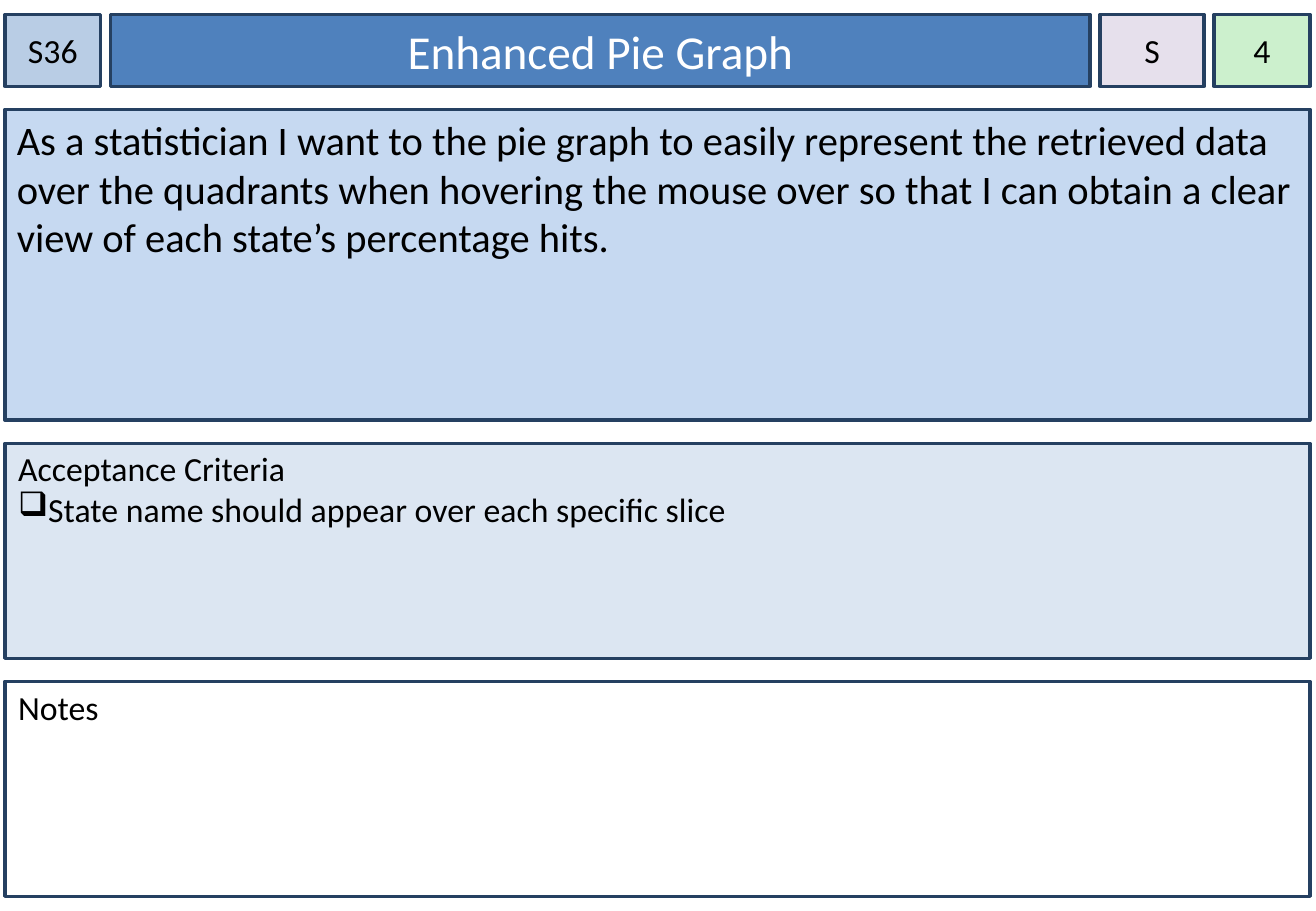
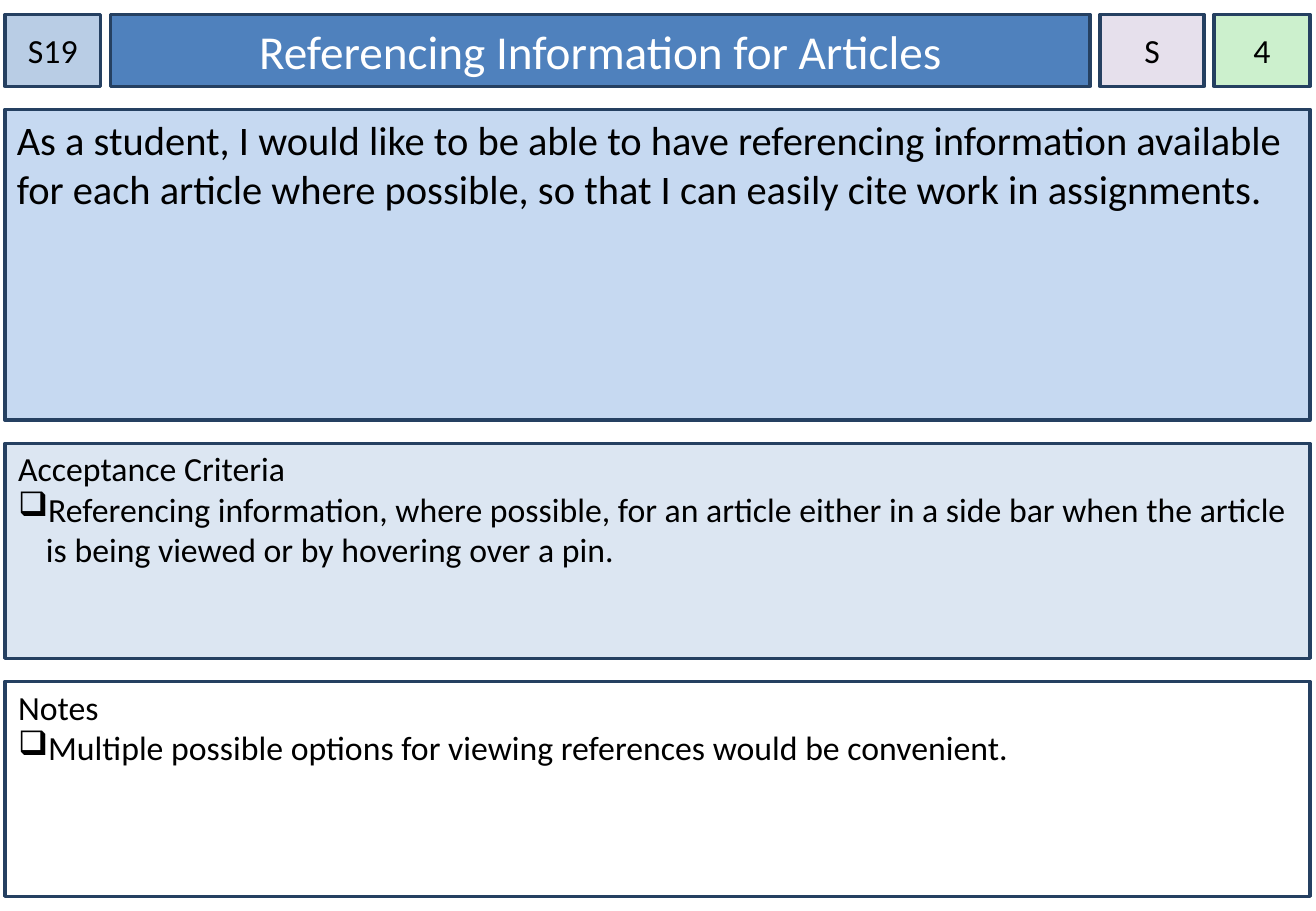
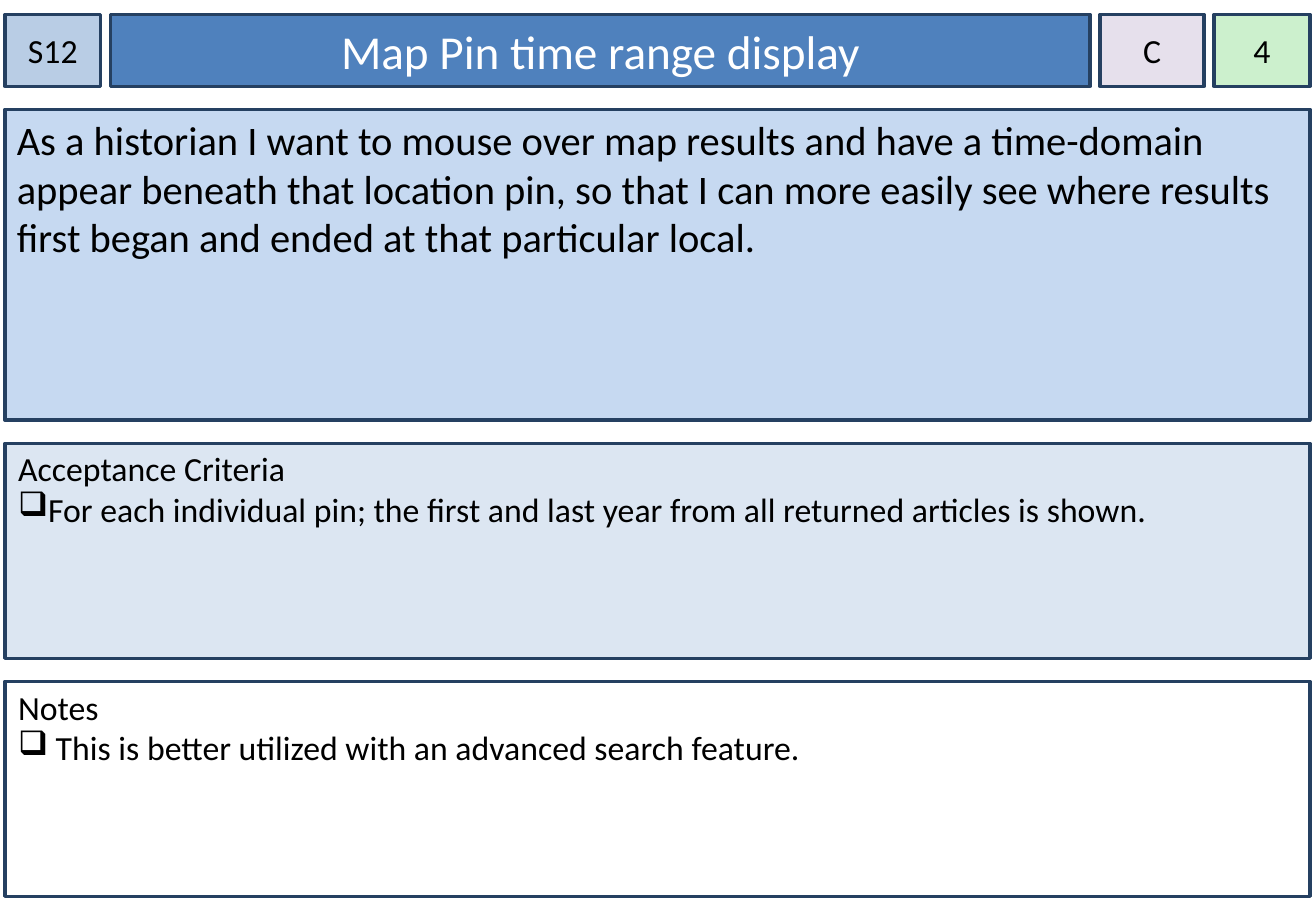
from dataclasses import dataclass

from lxml.etree import SubElement
from pptx import Presentation
from pptx.dml.color import RGBColor
from pptx.enum.shapes import MSO_SHAPE
from pptx.enum.text import MSO_ANCHOR as ANCHOR, PP_ALIGN as ALIGN
from pptx.oxml.ns import qn
from pptx.util import Inches, Pt


@dataclass(frozen=True)
class Theme:
    font: str = "Calibri"
    title_size: int = 28
    story_size: int = 24
    body_size: int = 20
    text: str = "000000"
    title_text: str = "FFFFFF"
    border: str = "254061"
    border_width: int = 2
    id_fill: str = "B9CDE5"
    title_fill: str = "4F81BD"
    priority_fill: str = "E6E0EC"
    points_fill: str = "CCF0CD"
    story_fill: str = "C6D9F1"
    criteria_fill: str = "DCE6F2"
    remarks_fill: str = "FFFFFF"
    bullet: str = "❑"
    indent: float = 0.24
    hanging: float = 0.23


@dataclass(frozen=True)
class Box:
    left: float
    top: float
    width: float
    height: float


@dataclass(frozen=True)
class Story:
    id: str
    title: str
    priority: str
    points: str
    text: str
    criteria: tuple = ()
    remarks: tuple = ()


THEME = Theme()
SLIDE_WIDTH, SLIDE_HEIGHT = 10.84, 7.5
CARD = Box(0.04, 0.12, 10.75, 7.26)
ROW_HEIGHTS = (0.59, 2.56, 1.77, 1.77)
ROW_GAP = 0.19
HEADER_WIDTHS = (0.79, 8.07, 0.86, 0.79)
HEADER_GAP = 0.08

STORIES = (
    Story(
        "S36", "Enhanced Pie Graph", "S", "4",
        "As a statistician I want to the pie graph to easily represent the "
        "retrieved data over the quadrants when hovering the mouse over so "
        "that I can obtain a clear view of each state’s percentage hits.",
        criteria=("State name should appear over each specific slice",),
    ),
    Story(
        "S19", "Referencing Information for Articles", "S", "4",
        "As a student, I would like to be able to have referencing "
        "information available for each article where possible, so that I "
        "can easily cite work in assignments.",
        criteria=("Referencing information, where possible, for an article "
                  "either in a side bar when the article is being viewed or "
                  "by hovering over a pin.",),
        remarks=("Multiple possible options for viewing references would be "
                 "convenient.",),
    ),
    Story(
        "S12", "Map Pin time range display", "C", "4",
        "As a historian I want to mouse over map results and have a "
        "time-domain appear beneath that location pin, so that I can more "
        "easily see where results first began and ended at that particular "
        "local.",
        criteria=("For each individual pin; the first and last year from all "
                  "returned articles is shown.",),
        remarks=(" This is better utilized with an advanced search feature.",),
    ),
)


def split_rows(box):
    top = box.top
    for height in ROW_HEIGHTS:
        yield Box(box.left, top, box.width, height)
        top += height + ROW_GAP


def split_header(box):
    left = box.left
    for width in HEADER_WIDTHS:
        yield Box(left, box.top, width, box.height)
        left += width + HEADER_GAP


def add_panel(s, box, fill, side=0.1, top=0.05, anchor=ANCHOR.TOP):
    """Draw a bordered rectangle and return its text frame."""
    sp = s.shapes.add_shape(
        MSO_SHAPE.RECTANGLE,
        *map(Inches, (box.left, box.top, box.width, box.height)))
    sp.shadow.inherit = False
    sp.fill.solid()
    sp.fill.fore_color.rgb = RGBColor.from_string(fill)
    sp.line.color.rgb = RGBColor.from_string(THEME.border)
    sp.line.width = Pt(THEME.border_width)
    tf = sp.text_frame
    frame_format = {
        "word_wrap": True,
        "vertical_anchor": anchor,
        "margin_left": Inches(side),
        "margin_right": Inches(side),
        "margin_top": Inches(top),
        "margin_bottom": Inches(0.05),
    }
    for name, value in frame_format.items():
        setattr(tf, name, value)
    return tf


def write(p, text, size, color=THEME.text, align=ALIGN.LEFT):
    p.alignment = align
    r = p.add_run()
    r.text = text
    for name, value in {"name": THEME.font, "size": Pt(size)}.items():
        setattr(r.font, name, value)
    r.font.color.rgb = RGBColor.from_string(color)


def set_indent(p, bullet=False):
    pPr = p._p.get_or_add_pPr()
    pPr.set("marL", str(Inches(THEME.indent)))
    pPr.set("indent", str(-Inches(THEME.hanging)))
    if bullet:
        color = SubElement(pPr, qn("a:buClr"))
        SubElement(color, qn("a:srgbClr"), val=THEME.text)
        SubElement(pPr, qn("a:buChar"), char=THEME.bullet)


def add_header(s, box, story):
    id_box, title_box, priority_box, points_box = split_header(box)
    tf = add_panel(s, title_box, THEME.title_fill, anchor=ANCHOR.MIDDLE)
    write(tf.paragraphs[0], story.title, THEME.title_size,
          THEME.title_text, ALIGN.CENTER)
    for tag_box, text, fill in (
        (id_box, story.id, THEME.id_fill),
        (priority_box, story.priority, THEME.priority_fill),
        (points_box, story.points, THEME.points_fill),
    ):
        tf = add_panel(s, tag_box, fill, side=0, anchor=ANCHOR.MIDDLE)
        write(tf.paragraphs[0], text, THEME.body_size, align=ALIGN.CENTER)


def add_checklist(s, box, heading, items, fill):
    tf = add_panel(s, box, fill, top=0.04)
    p = tf.paragraphs[0]
    write(p, heading, THEME.body_size)
    set_indent(p)
    for item in items:
        p = tf.add_paragraph()
        write(p, item, THEME.body_size)
        set_indent(p, bullet=True)


def add_story_card(s, box, story):
    header, body, criteria, remarks = split_rows(box)
    add_header(s, header, story)
    tf = add_panel(s, body, THEME.story_fill)
    write(tf.paragraphs[0], story.text, THEME.story_size)
    add_checklist(s, criteria, "Acceptance Criteria", story.criteria,
                  THEME.criteria_fill)
    add_checklist(s, remarks, "Notes", story.remarks, THEME.remarks_fill)


def main():
    prs = Presentation()
    prs.slide_width = Inches(SLIDE_WIDTH)
    prs.slide_height = Inches(SLIDE_HEIGHT)
    blank = prs.slide_layouts[6]
    for story in STORIES:
        add_story_card(prs.slides.add_slide(blank), CARD, story)
    prs.save("out.pptx")


if __name__ == "__main__":
    main()
